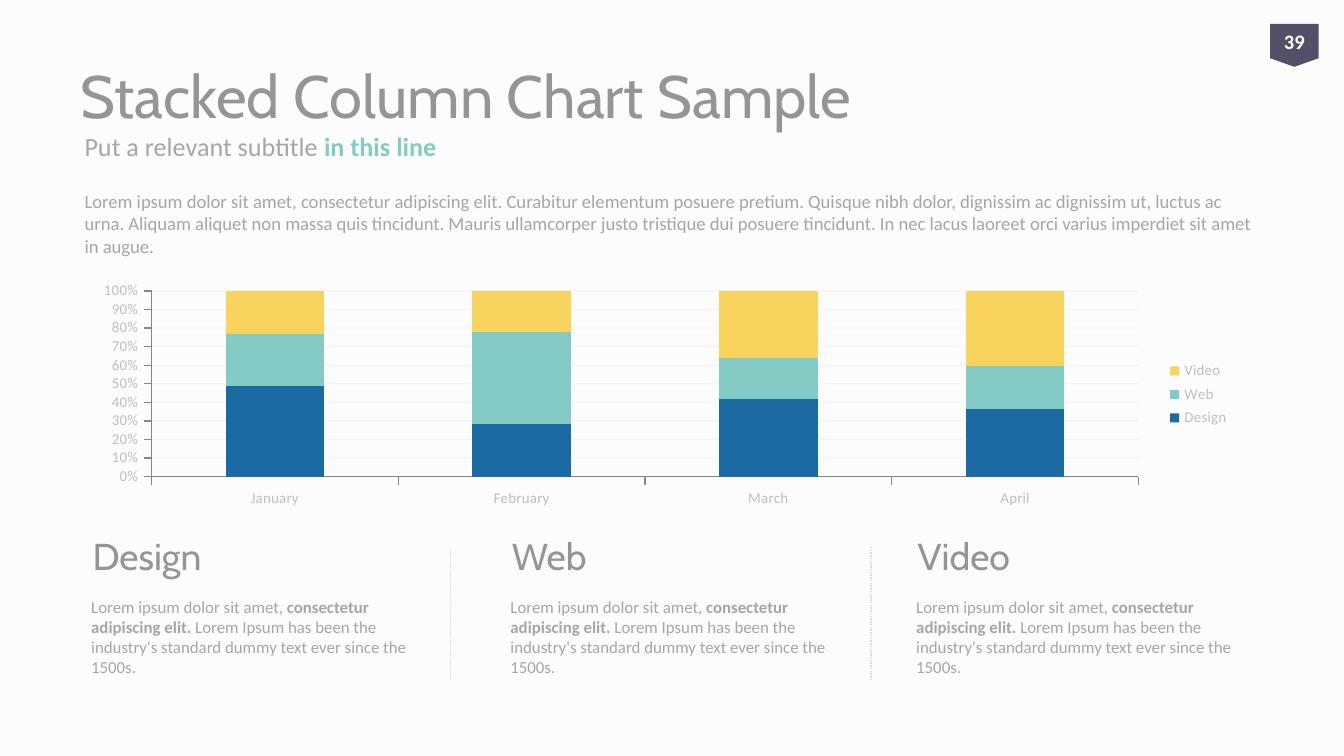
"""Build a slide with a 100% stacked column chart and three captioned columns."""
from lxml.etree import SubElement
from pptx import Presentation
from pptx.chart.data import CategoryChartData
from pptx.dml.color import RGBColor
from pptx.enum.chart import XL_CHART_TYPE as ChartType, XL_LEGEND_POSITION as LegendPos, XL_TICK_MARK as Tick
from pptx.enum.dml import MSO_LINE
from pptx.enum.shapes import MSO_CONNECTOR, MSO_SHAPE
from pptx.enum.text import MSO_ANCHOR as Anchor, MSO_AUTO_SIZE, PP_ALIGN as Align
from pptx.oxml import parse_xml
from pptx.oxml.ns import nsdecls, qn
from pptx.util import Pt

TITLE = "Stacked Column Chart Sample"
SUBTITLE = [("Put a relevant subtitle ", "muted", False), ("in this line", "teal", True)]
INTRO = (
    "Lorem ipsum dolor sit amet, consectetur adipiscing elit. Curabitur elementum posuere pretium. "
    "Quisque nibh dolor, dignissim ac dignissim ut, luctus ac urna. Aliquam aliquet non massa quis "
    "tincidunt. Mauris ullamcorper justo tristique dui posuere tincidunt. In nec lacus laoreet orci "
    "varius imperdiet sit amet in augue."
)
CAPTION = [
    ("Lorem ipsum dolor sit amet, ", "muted", False),
    ("consectetur adipiscing elit. ", "muted", True),
    ("Lorem Ipsum has been the industry's standard dummy text ever since the 1500s.", "muted", False),
]
PAGE_NUMBER = "39"
MONTHS = ["January", "February", "March", "April"]
SERIES = [
    ("Design", "blue", (49, 28, 42, 37)),
    ("Web", "teal", (28, 49, 22, 23)),
    ("Video", "yellow", (23, 22, 36, 41)),
]
COLUMN_LEFTS = [41.8, 266.4, 483.8]
DIVIDER_LEFTS = [241.2, 466.6]
PLOT_AREA = {"x": 0.06, "y": 0.06, "w": 0.85, "h": 0.79}

THEME = {
    "heading_font": "Cabin", "body_font": "Calibri",
    "title": 32, "heading": 20, "subtitle": 14, "badge": 11, "intro": 10, "caption": 9, "chart": 8,
    "background": "FCFCFC", "ink": "959595", "muted": "A6A6A6", "label": "BFBFBF",
    "divider": "D9D9D9", "axis": "868686", "grid": "808080", "navy": "525068", "white": "FFFFFF",
    "blue": "1B6AA3", "teal": "84CBC5", "yellow": "F8D35E",
}


def color(name):
    return RGBColor.from_string(THEME[name])


def write(shape, text, size, font="body_font", ink="muted", bold=False, anchor=Anchor.TOP, align=Align.LEFT):
    frame = shape.text_frame
    frame.word_wrap = True
    frame.auto_size = MSO_AUTO_SIZE.NONE
    frame.vertical_anchor = anchor
    paragraph = frame.paragraphs[0]
    paragraph.alignment = align
    pieces = [(text, ink, bold)] if isinstance(text, str) else text
    for words, piece_ink, piece_bold in pieces:
        run = paragraph.add_run()
        run.text = words
        run.font.name = THEME[font]
        run.font.size = Pt(THEME[size])
        run.font.bold = piece_bold
        run.font.color.rgb = color(piece_ink)


def add_text(slide, box, text, size, **style):
    write(slide.shapes.add_textbox(*map(Pt, box)), text, size, **style)


def add_divider(slide, left):
    divider = slide.shapes.add_connector(MSO_CONNECTOR.STRAIGHT, Pt(left), Pt(293), Pt(left), Pt(365))
    divider.line.color.rgb = color("divider")
    divider.line.width = Pt(0.75)
    divider.line.dash_style = MSO_LINE.ROUND_DOT
    SubElement(divider.line._get_or_add_ln().getparent(), qn("a:effectLst"))


def style_axis(axis):
    axis.major_tick_mark = Tick.OUTSIDE
    axis.minor_tick_mark = Tick.NONE
    axis.format.line.color.rgb = color("axis")
    axis.format.line.width = Pt(0.75)


def add_chart(slide):
    chart_data = CategoryChartData()
    chart_data.categories = MONTHS
    for name, _, shares in SERIES:
        chart_data.add_series(name, shares)
    chart = slide.shapes.add_chart(
        ChartType.COLUMN_STACKED_100, Pt(43.9), Pt(148.3), Pt(622), Pt(126), chart_data
    ).chart
    chart.has_title = False
    chart.font.name = THEME["body_font"]
    chart.font.size = Pt(THEME["chart"])
    chart.font.color.rgb = color("label")
    chart.has_legend = True
    chart.legend.position = LegendPos.RIGHT
    chart.legend.include_in_layout = False

    plot = chart.plots[0]
    plot.gap_width = 150
    plot.overlap = 100
    plot.vary_by_categories = False
    for bars, (_, fill, _) in zip(plot.series, SERIES):
        bars.format.fill.solid()
        bars.format.fill.fore_color.rgb = color(fill)

    style_axis(chart.category_axis)
    shares_axis = chart.value_axis
    style_axis(shares_axis)
    shares_axis.maximum_scale = 1
    shares_axis.minimum_scale = 0
    shares_axis.major_unit = 0.1
    shares_axis.tick_labels.number_format = "0%"
    shares_axis.tick_labels.number_format_is_linked = False
    shares_axis.has_major_gridlines = True
    grid = shares_axis.major_gridlines.format.line
    grid.color.rgb = color("grid")
    grid.width = Pt(0.75)
    grid_color = next(shares_axis.major_gridlines._xAx.iter(qn("c:majorGridlines"))).find(".//" + qn("a:srgbClr"))
    SubElement(grid_color, qn("a:alpha")).set("val", "6000")

    plot_area = chart._chartSpace.find(".//" + qn("c:plotArea"))
    for old in plot_area.findall(qn("c:layout")):
        plot_area.remove(old)
    sides = "".join(f'<c:{side} val="{share}"/>' for side, share in PLOT_AREA.items())
    plot_area.insert(0, parse_xml(
        f'<c:layout {nsdecls("c")}><c:manualLayout><c:layoutTarget val="inner"/>'
        f'<c:xMode val="edge"/><c:yMode val="edge"/>{sides}</c:manualLayout></c:layout>'
    ))


def add_badge(slide):
    badge = slide.shapes.add_shape(
        MSO_SHAPE.FLOWCHART_OFFPAGE_CONNECTOR, Pt(680.4), Pt(12.8), Pt(26), Pt(23)
    )
    badge.shadow.inherit = False
    badge.fill.solid()
    badge.fill.fore_color.rgb = color("navy")
    badge.line.fill.background()
    frame = badge.text_frame
    frame.margin_left = frame.margin_right = frame.margin_top = frame.margin_bottom = 0
    write(badge, PAGE_NUMBER, "badge", ink="white", bold=True, anchor=Anchor.MIDDLE, align=Align.CENTER)


def main():
    deck = Presentation()
    deck.slide_width, deck.slide_height = Pt(720), Pt(405)
    slide = deck.slides.add_slide(deck.slide_layouts[5])
    slide.background.fill.solid()
    slide.background.fill.fore_color.rgb = color("background")

    title = slide.shapes.title
    title.left, title.top, title.width, title.height = map(Pt, (36, 16.6, 648, 67.7))
    heading_style = {"font": "heading_font", "ink": "ink", "anchor": Anchor.MIDDLE}
    write(title, TITLE, "title", **heading_style)
    add_text(slide, (38.2, 64, 648, 29), SUBTITLE, "subtitle", anchor=Anchor.MIDDLE)
    add_text(slide, (38.2, 98, 639.4, 48), INTRO, "intro")
    for left, (name, _, _) in zip(COLUMN_LEFTS, SERIES):
        add_text(slide, (left, 316, 187.2, 57.6), CAPTION, "caption")
        add_text(slide, (left + 0.7, 276.5, 181.4, 41.8), name, "heading", **heading_style)
    for left in DIVIDER_LEFTS:
        add_divider(slide, left)
    add_chart(slide)
    add_badge(slide)
    deck.save("out.pptx")


if __name__ == "__main__":
    main()
